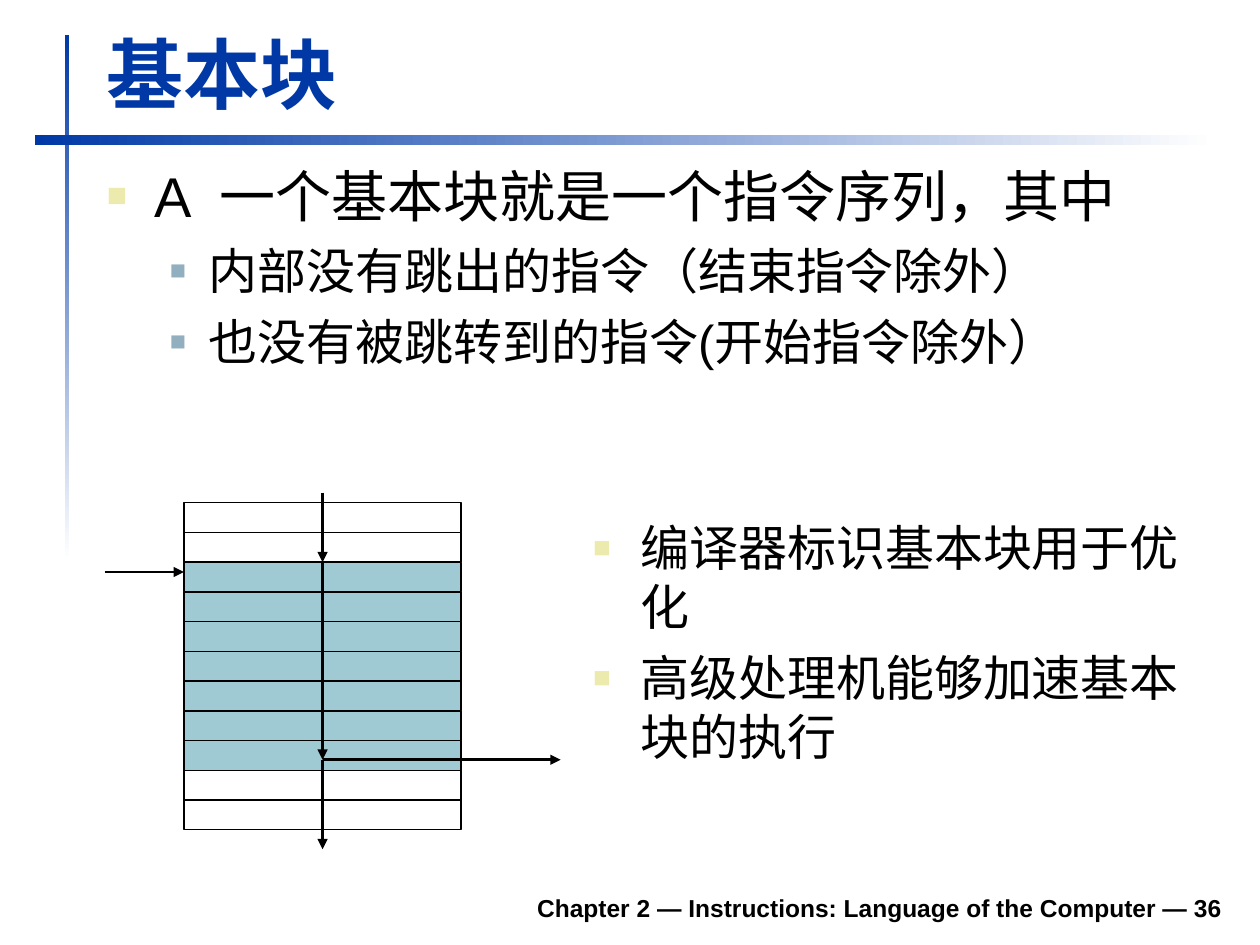
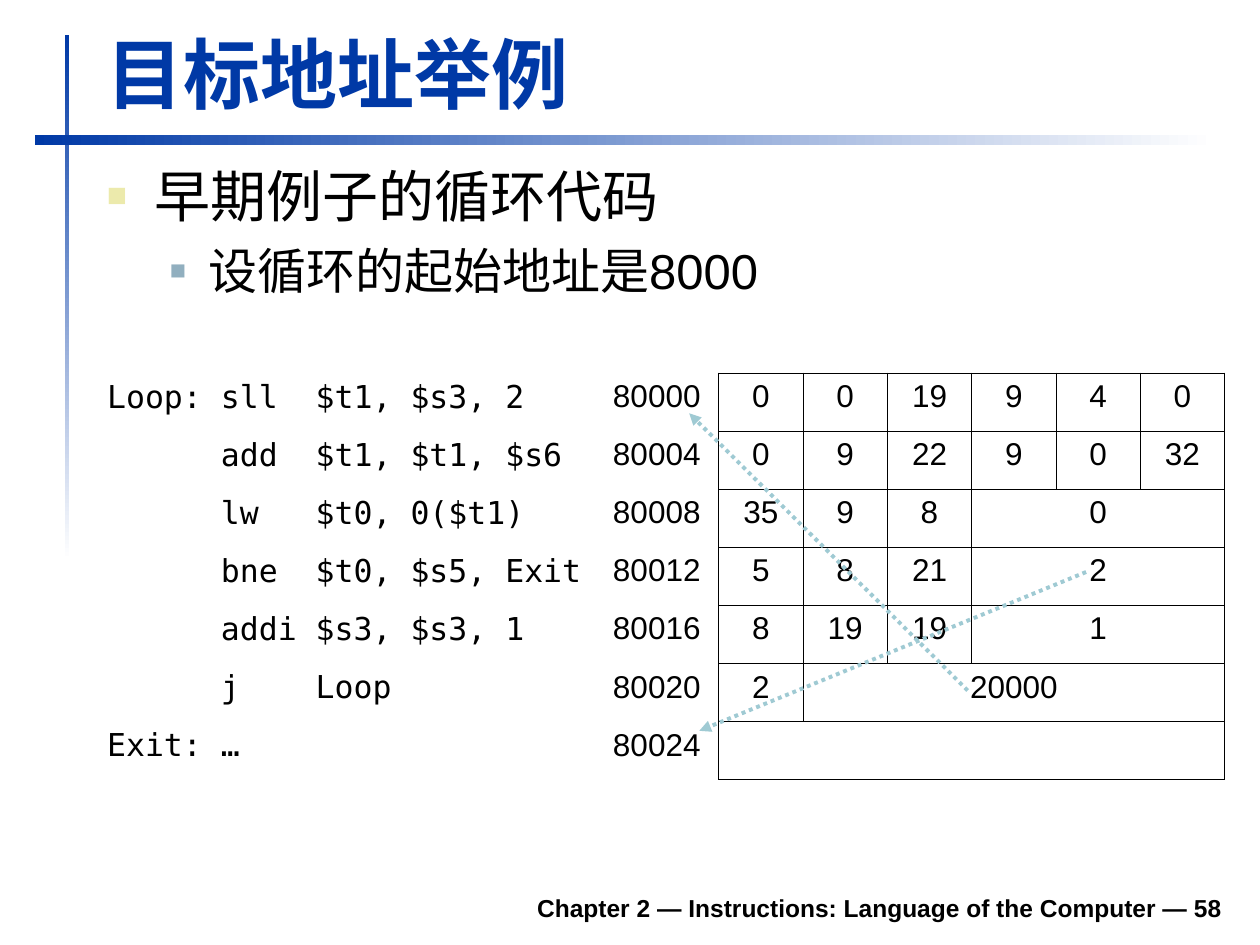
"""Build two lecture slides: basic blocks and a target address example."""
from lxml.etree import SubElement as Sub
from pptx import Presentation
from pptx.dml.color import RGBColor as RGB
from pptx.enum.dml import MSO_LINE as Dash
from pptx.enum.shapes import MSO_CONNECTOR as Link, MSO_SHAPE as Form
from pptx.enum.text import MSO_ANCHOR as Anchor, PP_ALIGN as Align
from pptx.oxml.ns import qn
from pptx.util import Inches, Pt

BLUE = RGB(0x00, 0x39, 0xA6)
TEAL = RGB(0x9F, 0xCA, 0xD3)
SAND = RGB(0xEC, 0xEA, 0xAC)
STEEL = RGB(0x91, 0xAF, 0xBF)
BLACK = RGB(0, 0, 0)
WHITE = RGB(0xFF, 0xFF, 0xFF)

deck = Presentation()
deck.slide_width, deck.slide_height = Inches(10), Inches(7.5)
UNIT = deck.slide_width / 100

BASE = {"size": 18, "name": "Arial", "bold": False, "color": BLACK,
        "align": Align.LEFT, "gap": 0}
HEAD = BASE | {"size": 44, "bold": True, "color": BLUE}
FOOT = BASE | {"size": 14, "bold": True, "align": Align.RIGHT}
TOP = BASE | {"size": 32, "gap": 8, "dot": (SAND, 60, 3.75, 3.75)}
SUB = BASE | {"size": 28, "gap": 7, "dot": (STEEL, 55, 8.1, 3.1)}
NOTE = TOP | {"size": 28, "gap": 7}
CODE = BASE | {"name": "DejaVu Sans Mono"}
CELL = BASE | {"align": Align.CENTER}


def write(frame, lines, anchor=Anchor.TOP):
    """Fill a text frame with (text, format) lines."""
    frame.word_wrap = True
    frame.vertical_anchor = anchor
    for n, (text, form) in enumerate(lines):
        para = frame.add_paragraph() if n else frame.paragraphs[0]
        para.alignment = form["align"]
        para.space_before = Pt(form["gap"] if n else 0)
        if "dot" in form:
            color, size, left, hang = form["dot"]
            props = para._p.get_or_add_pPr()
            props.set("marL", str(int(left * UNIT)))
            props.set("indent", str(int(-hang * UNIT)))
            Sub(Sub(props, qn("a:buClr")), qn("a:srgbClr"), val=str(color))
            Sub(props, qn("a:buSzPct"), val=str(size * 1000))
            Sub(props, qn("a:buFont"), typeface="Arial")
            Sub(props, qn("a:buChar"), char="■")
        run = para.add_run()
        run.text = text
        for key in ("name", "bold"):
            setattr(run.font, key, form[key])
        run.font.size = Pt(form["size"])
        run.font.color.rgb = form["color"]


def arrow(slide, ends, color, width, dash=None):
    """Draw an arrow between two points given in units."""
    line = slide.shapes.add_connector(Link.STRAIGHT, *[int(v * UNIT) for v in ends])
    line.line.color.rgb = color
    line.line.width = Pt(width)
    if dash:
        line.line.dash_style = dash
    Sub(line.line._get_or_add_ln(), qn("a:tailEnd"), type="triangle")
    Sub(line._element.spPr, qn("a:effectLst"))


PAGES = [
    (36, "基本块", [
        ((7.5, 12.3, 90.4, 25.2), [
            ("A  一个基本块就是一个指令序列，其中", TOP),
            ("内部没有跳出的指令（结束指令除外）", SUB),
            ("也没有被跳转到的指令(开始指令除外）", SUB)]),
        ((46.1, 40.6, 51.1, 26), [
            ("编译器标识基本块用于优化", NOTE),
            ("高级处理机能够加速基本块的执行", NOTE)])]),
    (58, "目标地址举例", [
        ((7.5, 12.3, 90.4, 13.4), [
            ("早期例子的循环代码", TOP),
            ("设循环的起始地址是8000", SUB)])]),
]
BARS = [((5.15, 2.8, 0.35, 41.7), 270), ((2.75, 10.7, 93.7, 0.8), 0)]

slides = []
for page, title, parts in PAGES:
    slide = deck.slides.add_slide(deck.slide_layouts[6])
    slides.append(slide)
    for box, angle in BARS:
        bar = slide.shapes.add_shape(Form.RECTANGLE, *[int(v * UNIT) for v in box])
        bar.shadow.inherit = False
        bar.line.fill.background()
        bar.fill.gradient()
        bar.fill.gradient_angle = angle
        for stop, spot, color in zip(bar.fill.gradient_stops, (0, 1), (BLUE, WHITE)):
            stop.position = spot
            stop.color.rgb = color
    foot = f"Chapter 2 — Instructions: Language of the Computer — {page}"
    texts = [((18.5, 69.8, 79.5, 3.9), [(foot, FOOT)], Anchor.BOTTOM),
             ((7.5, 1.6, 90.3, 8.3), [(title, HEAD)], Anchor.BOTTOM)]
    texts += [(box, lines, Anchor.TOP) for box, lines in parts]
    for box, lines, anchor in texts:
        area = slide.shapes.add_textbox(*[int(v * UNIT) for v in box])
        write(area.text_frame, lines, anchor)

block, loop = slides

LEFT, START, WIDE, STEP = 14.6, 39.9, 22, 2.36
for row in range(11):
    box = (LEFT, START + row * STEP, WIDE, STEP)
    slot = block.shapes.add_shape(Form.RECTANGLE, *[int(v * UNIT) for v in box])
    slot.shadow.inherit = False
    slot.line.color.rgb = BLACK
    slot.line.width = Pt(0.75)
    if 2 <= row <= 8:
        slot.fill.solid()
        slot.fill.fore_color.rgb = TEAL
    else:
        slot.fill.background()

MID, ENTRY, LEAVE = LEFT + WIDE / 2, START + 2 * STEP, 60.3
for ends in [(MID, 39.1, MID, ENTRY), (MID, ENTRY, MID, LEAVE),
             (MID, LEAVE, MID, 67.4), (MID, LEAVE, 44.5, LEAVE),
             (8.3, 45.4, LEFT, 45.4)]:
    arrow(block, ends, BLACK, 1.5)

ROWS = [
    ("Loop: sll  $t1, $s3, 2", [0, 0, 19, 9, 4, 0]),
    ("      add  $t1, $t1, $s6", [0, 9, 22, 9, 0, 32]),
    ("      lw   $t0, 0($t1)", [35, 9, 8, 0]),
    ("      bne  $t0, $s5, Exit", [5, 8, 21, 2]),
    ("      addi $s3, $s3, 1", [8, 19, 19, 1]),
    ("      j    Loop", [2, 20000]),
    ("Exit: …", [""]),
]
COLS = [40.15, 9.4] + [6.69] * 6
HIGH = 4.61
box = (7.5, 29.6, sum(COLS), HIGH * len(ROWS))
grid = loop.shapes.add_table(len(ROWS), len(COLS), *[int(v * UNIT) for v in box]).table
grid.first_row = grid.horz_banding = False
for col, width in zip(grid.columns, COLS):
    col.width = int(width * UNIT)
for r, (code, fields) in enumerate(ROWS):
    grid.rows[r].height = int(HIGH * UNIT)
    for c in range(len(COLS)):
        cell = grid.cell(r, c)
        props = cell._tc.get_or_add_tcPr()
        for side in "LRTB":
            black = c > 1 or (c == 1 and side == "R")
            edge = Sub(props, qn(f"a:ln{side}"), w=str(Pt(0.45)))
            fill = Sub(edge, qn("a:solidFill"))
            Sub(fill, qn("a:srgbClr"), val=str(BLACK if black else WHITE))
        cell.fill.background()
    last = 1 + len(fields)
    if last < len(COLS) - 1:
        grid.cell(r, last).merge(grid.cell(r, len(COLS) - 1))
    words = [(code, CODE), (str(80000 + 4 * r), BASE)]
    words += [(str(field), CELL) for field in fields]
    for c, word in enumerate(words):
        if word[0]:
            write(grid.cell(r, c).text_frame, [word])

for ends in [(76.8, 54.8, 54.7, 32.8), (86.2, 45.4, 55.5, 58)]:
    arrow(loop, ends, TEAL, 2.25, Dash.ROUND_DOT)

deck.save("out.pptx")
